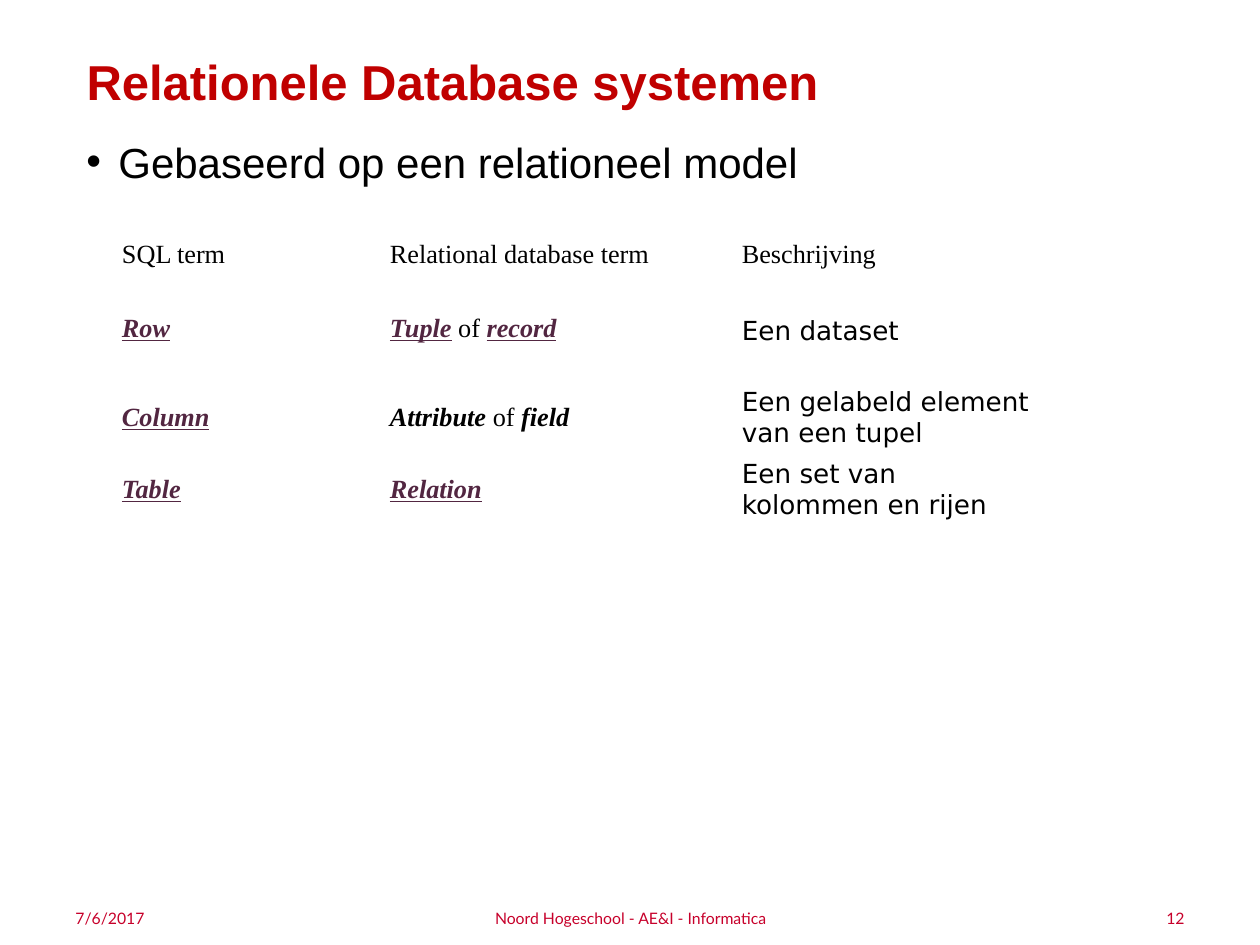
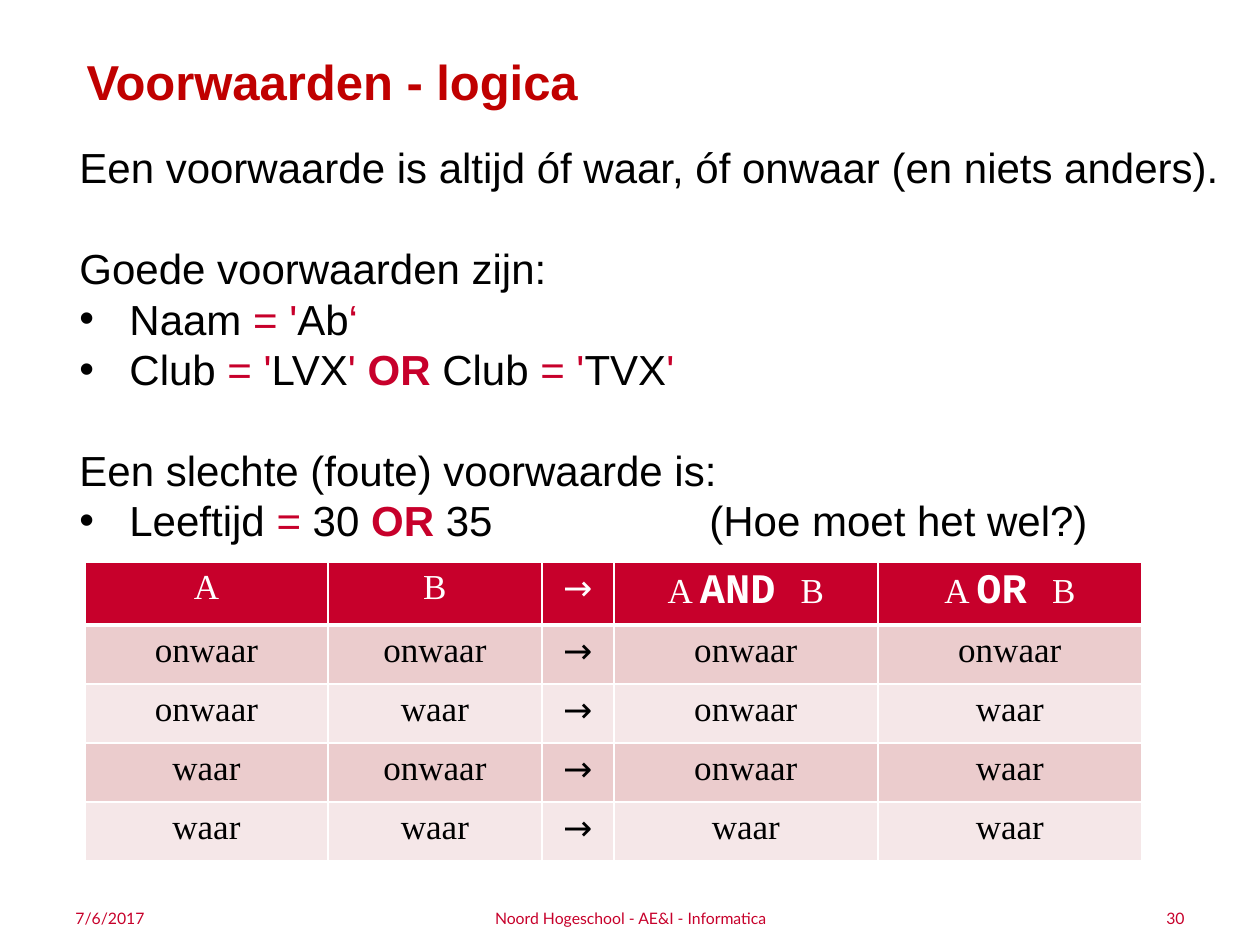
from dataclasses import dataclass

from lxml import etree
from pptx import Presentation
from pptx import util as u
from pptx.dml.color import RGBColor
from pptx.enum import text
from pptx.oxml.ns import qn

PX = 914400 / 126  # EMU in one px


@dataclass(frozen=True)
class Theme:
    title: str = "C00000"
    accent: str = "C7002B"
    link: str = "522641"
    ink: str = "000000"
    paper: str = "FFFFFF"
    bands: tuple = ("EBCCCD", "F5E7E8")
    sans: str = "Arial"
    serif: str = "Times New Roman"
    symbol: str = "DejaVu Sans"
    mono: str = "Courier New"
    small: str = "Lato"
    title_pt: int = 28
    body_pt: int = 24
    truth_pt: int = 20
    term_pt: int = 15
    footer_pt: int = 9


T = Theme()
LEFT, CENTER, RIGHT = text.PP_ALIGN.LEFT, text.PP_ALIGN.CENTER, text.PP_ALIGN.RIGHT
TOP, MIDDLE = text.MSO_ANCHOR.TOP, text.MSO_ANCHOR.MIDDLE

TITLE = dict(name=T.sans, size=T.title_pt, color=T.title, bold=True)
BODY = dict(name=T.sans, size=T.body_pt, color=T.ink)
FOOTER = dict(name=T.small, size=T.footer_pt, color=T.accent)
TERM = dict(name=T.serif, size=T.term_pt, color=T.ink)
TRUTH = dict(name=T.serif, size=T.truth_pt, color=T.ink)
HEAD = TRUTH | dict(color=T.paper)

# Run formats laid over the format of the paragraph
RED = dict(color=T.accent)
KEYWORD = dict(color=T.accent, bold=True)
STRONG = dict(bold=True, italic=True)
LINK = STRONG | dict(color=T.link, underline=True)
PLAIN = dict(name=T.symbol)
OPERATOR = dict(name=T.mono, size=T.body_pt, bold=True)


def px(n):
    return u.Emu(round(n * PX))


def set_all(obj, values):
    for key, value in values.items():
        setattr(obj, key, value)


class Deck:
    """Holds the presentation and the slide being built."""

    def __init__(self):
        self.prs = Presentation()
        set_all(self.prs, dict(slide_width=px(1260), slide_height=px(945)))

    def slide(self, title, number):
        self.s = self.prs.slides.add_slide(self.prs.slide_layouts[5])
        sp = self.s.shapes.title
        set_all(sp, dict(left=px(74), top=px(39), width=px(1140), height=px(100)))
        self.frame(sp.text_frame, TOP, 12)
        self.add_runs(sp.text_frame.paragraphs[0], [title], TITLE)
        for x, w, label, align in ((63, 294, "7/6/2017", LEFT),
                                   (903, 294, number, RIGHT),
                                   (431, 399, "Noord Hogeschool - AE&I - Informatica", CENTER)):
            tf = self.box(x, 903, w, 30, MIDDLE)
            self.add_runs(tf.paragraphs[0], [label], FOOTER, align)

    def frame(self, tf, anchor, inset):
        set_all(tf, dict(word_wrap=True, auto_size=text.MSO_AUTO_SIZE.NONE,
                         vertical_anchor=anchor, margin_top=px(inset)))

    def box(self, x, y, w, h, anchor=TOP, inset=6):
        tf = self.s.shapes.add_textbox(*map(px, (x, y, w, h))).text_frame
        self.frame(tf, anchor, inset)
        return tf

    def add_runs(self, p, runs, base, align=LEFT):
        """Fill a paragraph; a run is a string or a (string, format) pair."""
        p.alignment = align
        for run in runs:
            words, extra = (run, {}) if isinstance(run, str) else run
            look = base | extra
            r = p.add_run()
            r.text = words
            r.font.color.rgb = RGBColor.from_string(look["color"])
            set_all(r.font, {k: v for k, v in look.items() if k not in ("color", "size")})
            r.font.size = u.Pt(look["size"])

    def bullet(self, p, hang=0, tabs=()):
        pPr = p._p.get_or_add_pPr()
        pPr.set("marL", str(px(hang)))
        pPr.set("indent", str(-px(hang)))
        etree.SubElement(pPr, qn("a:buFont"), typeface=T.sans)
        etree.SubElement(pPr, qn("a:buChar"), char="•")
        if tabs:
            stops = etree.SubElement(pPr, qn("a:tabLst"))
            for tab in tabs:
                etree.SubElement(stops, qn("a:tab"), pos=str(px(tab)), algn="l")

    def table(self, x, y, cols, rows, cells, style):
        """Draw a table; style(row) gives its base format, fill, alignment and cell settings."""
        tbl = self.s.shapes.add_table(len(rows), len(cols), px(x), px(y),
                                      px(sum(cols)), px(sum(rows))).table
        set_all(tbl, dict(first_row=False, horz_banding=False))
        for col, w in zip(tbl.columns, cols):
            col.width = px(w)
        for i, (row, h) in enumerate(zip(tbl.rows, rows)):
            row.height = px(h)
            base, fill, align, settings = style(i)
            for cell, runs in zip(row.cells, cells[i]):
                set_all(cell, settings)
                self.add_runs(cell.text_frame.paragraphs[0], runs, base, align)
                if fill:
                    self.borders(cell, 3 if i == 0 else 1, 3 if i == 1 else 1)
                    cell.fill.solid()
                    cell.fill.fore_color.rgb = RGBColor.from_string(fill)
                else:
                    cell.fill.background()
        return tbl

    def borders(self, cell, bottom, top):
        tcPr = cell._tc.get_or_add_tcPr()
        for side, pt in dict(L=1, R=1, T=top, B=bottom).items():
            ln = etree.SubElement(tcPr, qn("a:ln" + side), w=str(u.Pt(pt)))
            fill = etree.SubElement(ln, qn("a:solidFill"))
            etree.SubElement(fill, qn("a:srgbClr"), val=T.paper)


def term_style(row):
    return TERM, None, LEFT, dict(vertical_anchor=MIDDLE, margin_left=px(10), margin_right=px(10),
                                  margin_top=px(5), margin_bottom=px(5))


def truth_style(row):
    if row == 0:
        return HEAD, T.accent, CENTER, {}
    return TRUTH, T.bands[(row - 1) % 2], CENTER, {}


def relational_slide(deck):
    deck.slide("Relationele Database systemen", "12")
    p = deck.box(74, 125, 1121, 684, inset=11).paragraphs[0]
    deck.add_runs(p, ["Gebaseerd op een relationeel model"], BODY)
    deck.bullet(p, hang=32)
    terms = [
        [["SQL term"], ["Relational database term"], ["Beschrijving"]],
        [[("Row", LINK)], [("Tuple", LINK), " of ", ("record", LINK)], [("Een dataset", PLAIN)]],
        [[("Column", LINK)], [("Attribute ", STRONG), "of ", ("field", STRONG)],
         [("Een gelabeld element van een tupel", PLAIN)]],
        [[("Table", LINK)], [("Relation", LINK)], [("Een set van kolommen en rijen", PLAIN)]],
    ]
    tbl = deck.table(112, 234, [268, 352, 310], [41, 107, 72, 72], terms, term_style)
    tbl.cell(1, 2).margin_top = px(11)


def logic_slide(deck):
    deck.slide("Voorwaarden - logica", "30")
    lines = [  # bulleted, opens a block, runs
        (False, False, ["Een voorwaarde is altijd óf waar, óf onwaar (en niets anders)."]),
        (False, True, ["Goede voorwaarden zijn:"]),
        (True, False, ["\tNaam ", ("= '", RED), "Ab", ("‘", RED)]),
        (True, False, ["\tClub ", ("= '", RED), "LVX", ("' ", RED), ("OR", KEYWORD),
                       " Club ", ("= '", RED), "TVX", ("'", RED)]),
        (False, True, ["Een slechte (foute) voorwaarde is:"]),
        (True, False, ["\tLeeftijd ", ("= ", RED), "30 ", ("OR ", KEYWORD),
                       "35\t(Hoe moet het wel?)"]),
    ]
    tf = deck.box(67, 135, 1191, 427, inset=7)
    pitch = u.Pt(28.8)
    for i, (bulleted, opens, runs) in enumerate(lines):
        p = tf.add_paragraph() if i else tf.paragraphs[0]
        set_all(p, dict(line_spacing=pitch, space_before=pitch if opens else u.Pt(0)))
        deck.add_runs(p, runs, BODY)
        if bulleted:
            deck.bullet(p, tabs=(50, 630))

    arrow = [("→", PLAIN)]
    truth = [[["A"], ["B"], arrow, ["A ", ("AND ", OPERATOR), "B"], ["A ", ("OR ", OPERATOR), "B"]]]
    word = {False: ["onwaar"], True: ["waar"]}
    for a in word:
        for b in word:
            truth.append([word[a], word[b], arrow, word[a and b], word[a or b]])
    deck.table(85, 562, [243, 214, 72, 264, 264], [63] + [59] * 4, truth, truth_style)


def main():
    deck = Deck()
    relational_slide(deck)
    logic_slide(deck)
    deck.prs.save("out.pptx")


if __name__ == "__main__":
    main()
